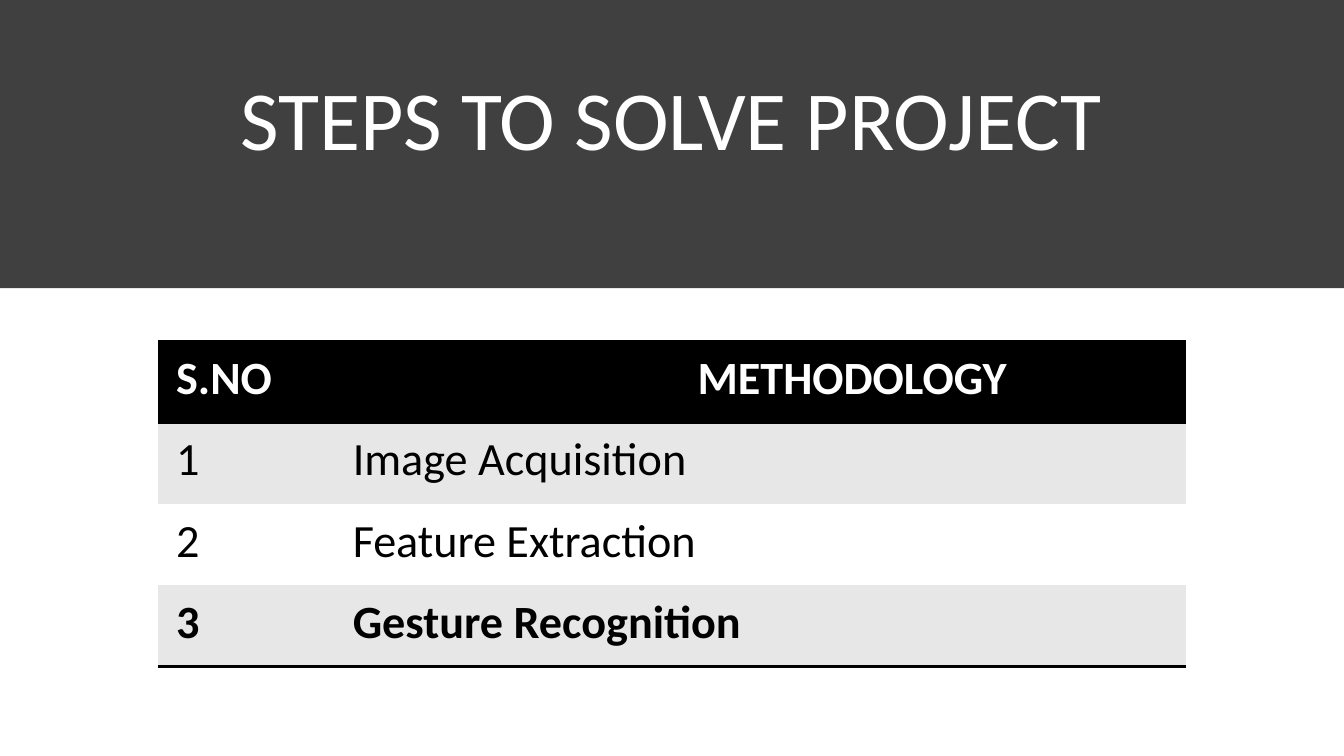
"""Build the project steps slide: a dark title band above a methodology table."""
from lxml import etree
from pptx import Presentation
from pptx.dml.color import RGBColor
from pptx.enum import shapes, text
from pptx.oxml import ns
from pptx.util import Cm, Pt


def paint(fill, color):
    fill.solid()
    fill.fore_color.rgb = RGBColor.from_string(color)


def add_border(cell, side, position):
    properties = cell._tc.get_or_add_tcPr()
    line = etree.Element(ns.qn(f"a:{side}"), w=str(Pt(2)))
    solid = etree.SubElement(line, ns.qn("a:solidFill"))
    etree.SubElement(solid, ns.qn("a:srgbClr"), val="000000")
    properties.insert(position, line)


presentation = Presentation()
presentation.slide_width = Cm(33.87)
presentation.slide_height = Cm(19.05)
slide = presentation.slides.add_slide(presentation.slide_layouts[5])
paint(slide.background.fill, "000000")

for height, color in ((19.05, "FFFFFF"), (7.26, "404040")):
    panel = slide.shapes.add_shape(
        shapes.MSO_SHAPE.RECTANGLE, 0, 0, presentation.slide_width, Cm(height))
    panel.shadow.inherit = False
    paint(panel.fill, color)
    panel.line.fill.background()

title = slide.shapes.title
title.element.getparent().append(title.element)
title.left, title.top, title.width, title.height = Cm(1.96), Cm(1.02), Cm(29.9), Cm(3.35)
title.text_frame.text = "STEPS TO SOLVE PROJECT"
title.text_frame.auto_size = text.MSO_AUTO_SIZE.NONE
title.text_frame.vertical_anchor = text.MSO_ANCHOR.BOTTOM
paragraph = title.text_frame.paragraphs[0]
paragraph.alignment = text.PP_ALIGN.CENTER
paragraph.line_spacing = 0.9
font = paragraph.runs[0].font
font.name, font.size = "Calibri", Pt(60)
paint(font.fill, "FFFFFF")

rows = [
    ("S.NO", "METHODOLOGY"),
    ("1", "Image Acquisition"),
    ("2", "Feature Extraction"),
    ("3", "Gesture Recognition"),
]
last = len(rows) - 1
frame = slide.shapes.add_table(len(rows), 2, Cm(3.98), Cm(8.6), Cm(25.92), Cm(8.2))
table = frame.table
style = frame.element.find(".//" + ns.qn("a:tableStyleId"))
style.text = "{2D5ABB26-0587-4C30-8999-92F81FD0307C}"
table.columns[0].width, table.columns[1].width = Cm(4.45), Cm(21.47)

for row_index, row in enumerate(rows):
    header = row_index == 0
    fill_color = "000000" if header else "E7E7E7" if row_index % 2 else "FFFFFF"
    for column_index, label in enumerate(row):
        cell = table.cell(row_index, column_index)
        cell.margin_left = Cm(9.15 if label == "METHODOLOGY" else 0.46)
        cell.margin_right = Cm(0.46)
        cell.margin_top = cell.margin_bottom = Cm(0.23)
        paint(cell.fill, fill_color)
        if header:
            add_border(cell, "lnT", 0)
            add_border(cell, "lnB", 1)
        elif row_index == last:
            add_border(cell, "lnB", 0)
        cell.text_frame.text = label
        font = cell.text_frame.paragraphs[0].runs[0].font
        font.name, font.size = "Calibri", Pt(33)
        font.bold = row_index in (0, last)
        paint(font.fill, "FFFFFF" if header else "000000")

presentation.save("out.pptx")
